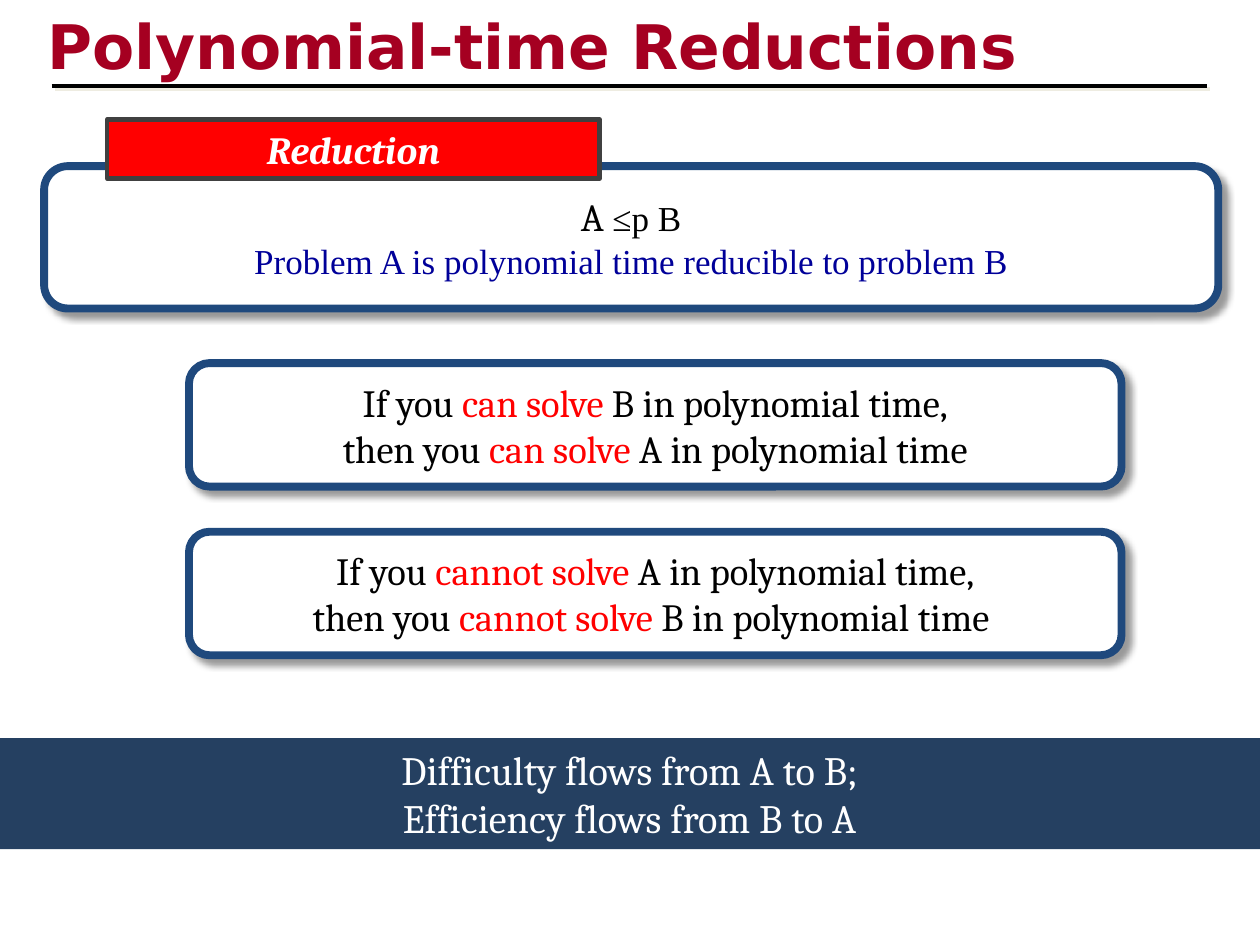
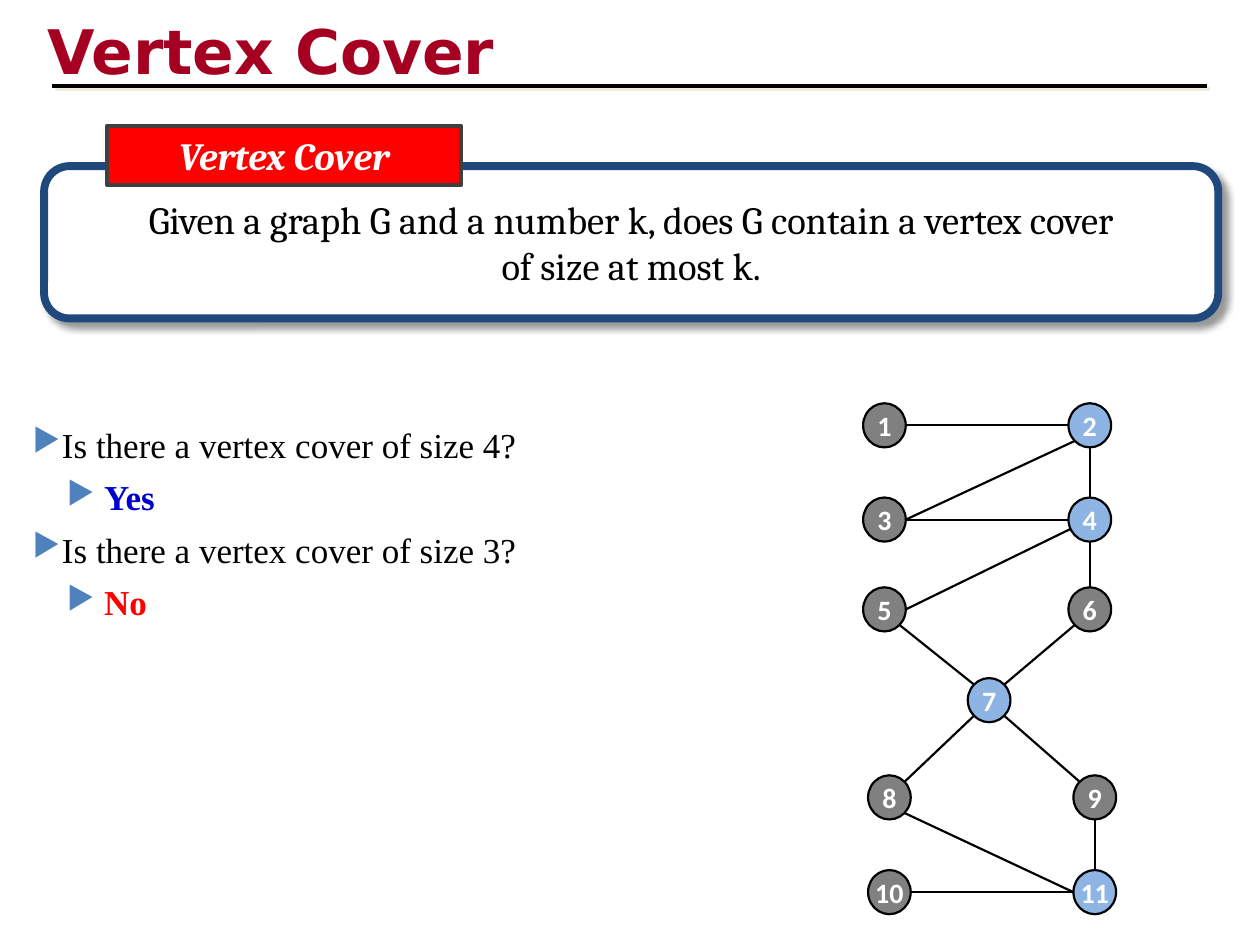
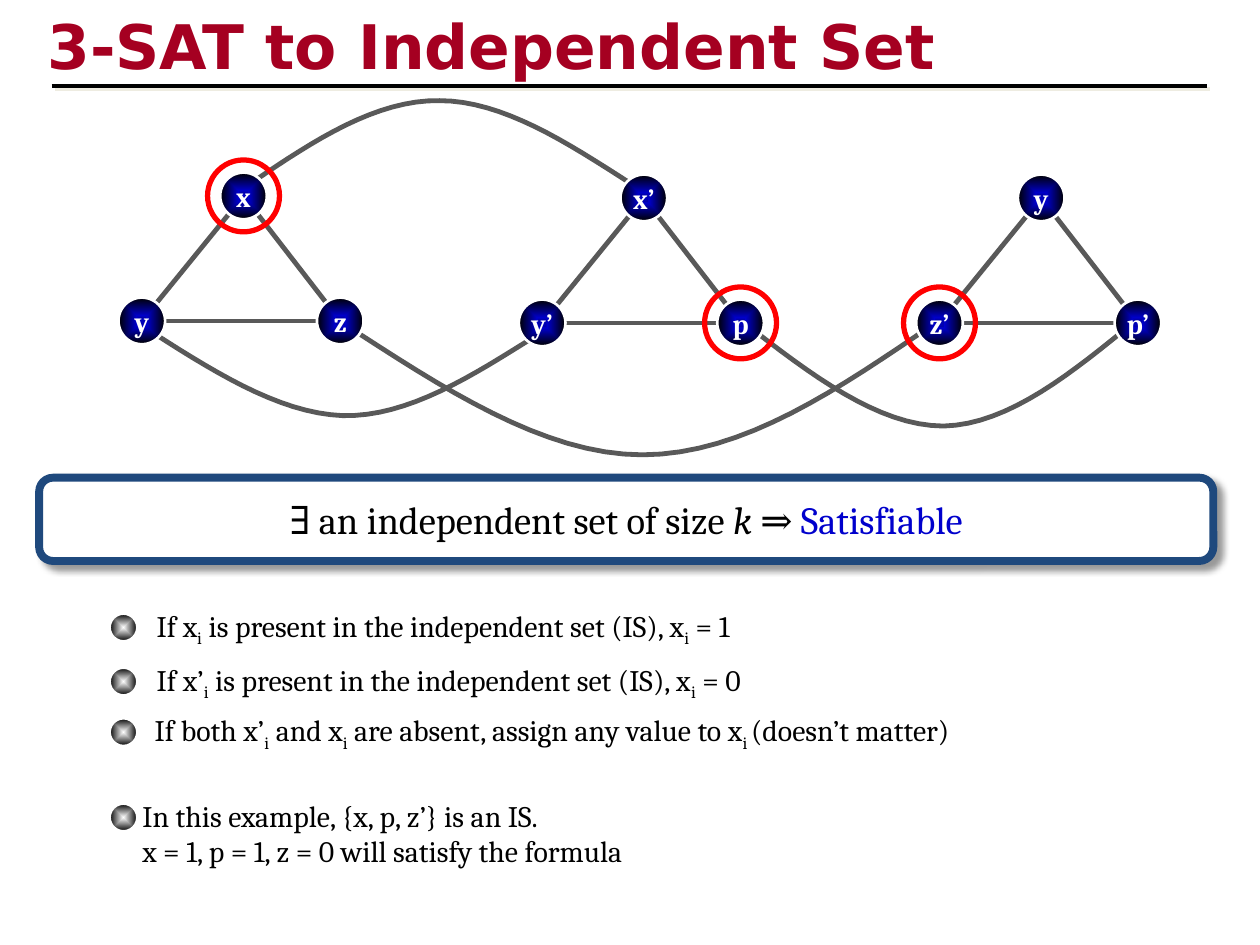
import math

import pptx
import pptx.util
import pptx.dml.color
import pptx.enum.shapes
import pptx.enum.text
import pptx.oxml
import pptx.oxml.ns
from lxml import etree

Cm, Pt = pptx.util.Cm, pptx.util.Pt
qn = pptx.oxml.ns.qn
SHAPE = pptx.enum.shapes.MSO_SHAPE
ALIGN = pptx.enum.text.PP_ALIGN
ANCHOR = pptx.enum.text.MSO_ANCHOR

# Shared look
C = {
    "title": "A50021", "black": "000000", "white": "FFFFFF", "red": "FF0000",
    "frame": "1F497D", "label_edge": "404040", "band": "254061",
    "navy": "000099", "blue": "0000CC", "bullet": "4F81BD",
    "covered": "8EB4E3", "plain": "808080", "edge": "595959", "cream": "EEECE1",
}
NAVY_BALL = [(0, "0000C0"), (10, "0000B7"), (16, "0000AB"), (21, "0000CC"), (100, "000000")]
GREY_BALL = [(0, "FFFFFF"), (100, "000000")]
NS = 'xmlns:a="http://schemas.openxmlformats.org/drawingml/2006/main"'
SHADOW = (f'<a:outerShdw {NS} blurRad="%d" dist="%d" dir="2700000" algn="tl" rotWithShape="0">'
          '<a:srgbClr val="%s"><a:alpha val="%d"/></a:srgbClr></a:outerShdw>')
SOFT_SHADOW = SHADOW % (Pt(4), Pt(4), C["black"], 40000)
FLAT_SHADOW = SHADOW % (0, Pt(2.8), C["cream"], 100000)
CARD = dict(fill="white", line="frame", width=4.5, shadow=SOFT_SHADOW)
LABEL = dict(fill="red", line="label_edge", width=2.5, color="white", bold=True, italic=True)


def add_box(s, kind, x, y, w, h, paras=(), fill=None, line=None, width=1,
            shadow=None, **style):
    """Add a shape, or a text box if kind is None; a run is text or (text, overrides)."""
    box = Cm(x), Cm(y), Cm(w), Cm(h)
    if kind is None:
        sp = s.shapes.add_textbox(*box)
    else:
        sp = s.shapes.add_shape(kind, *box)
        sp.shadow.inherit = False
        if shadow:
            sp._element.spPr.find(qn("a:effectLst")).append(pptx.oxml.parse_xml(shadow))
        if fill is None:
            sp.fill.background()
        else:
            sp.fill.solid()
            if isinstance(fill, list):
                stops = "".join(f'<a:gs pos="{pos * 1000}"><a:srgbClr val="{c}"/></a:gs>'
                                for pos, c in fill)
                spPr = sp._element.spPr
                spPr.replace(spPr.find(qn("a:solidFill")), pptx.oxml.parse_xml(
                    f'<a:gradFill {NS}><a:gsLst>{stops}</a:gsLst><a:path path="shape">'
                    '<a:fillToRect l="50000" t="50000" r="50000" b="50000"/>'
                    '</a:path></a:gradFill>'))
            else:
                sp.fill.fore_color.rgb = pptx.dml.color.RGBColor.from_string(C[fill])
        if line is None:
            sp.line.fill.background()
        else:
            sp.line.color.rgb = pptx.dml.color.RGBColor.from_string(C[line])
            sp.line.width = Pt(width)
    tf = sp.text_frame
    tf.word_wrap = kind is None
    tf.vertical_anchor = ANCHOR.TOP if kind is None else ANCHOR.MIDDLE
    for i, runs in enumerate(paras):
        p = tf.add_paragraph() if i else tf.paragraphs[0]
        p.alignment = ALIGN.LEFT if kind is None else ALIGN.CENTER
        for run in runs:
            text, own = (run, {}) if isinstance(run, str) else run
            look = {"size": 22, "font": "Cambria", "color": "black", **style, **own}
            r = p.add_run()
            r.text = text
            r.font.size = Pt(look["size"])
            r.font.name = look["font"]
            r.font.bold = look.get("bold", False)
            r.font.italic = look.get("italic", False)
            r.font.color.rgb = pptx.dml.color.RGBColor.from_string(C[look["color"]])
            if look.get("sub"):
                r._r.get_or_add_rPr().set("baseline", "-25000")
    return sp


def add_line(s, start, end, color, width):
    """Add a straight line and return its effect list."""
    ln = s.shapes.add_connector(pptx.enum.shapes.MSO_CONNECTOR.STRAIGHT,
                                *[Cm(v) for v in (*start, *end)])
    ln.line.color.rgb = pptx.dml.color.RGBColor.from_string(C[color])
    ln.line.width = Pt(width)
    return etree.SubElement(ln._element.spPr, qn("a:effectLst"))


prs = pptx.Presentation()
prs.slide_width, prs.slide_height = Cm(25.4), Cm(19.05)

# Titles and rules
slides = []
for title, top in [("Polynomial-time Reductions", 0.03), ("Vertex Cover", 0.13),
                   ("3-SAT to Independent Set", 0.03)]:
    s = prs.slides.add_slide(prs.slide_layouts[6])
    slides.append(s)
    sp = add_box(s, None, 0.71, top, 21.59, 1.7, [[title]],
                 size=35.1, font="DejaVu Sans", color="title", bold=True)
    rPr = sp.text_frame.paragraphs[0].runs[0]._r.get_or_add_rPr()
    rPr.find(qn("a:latin")).addprevious(
        pptx.oxml.parse_xml(f"<a:effectLst {NS}>{FLAT_SHADOW}</a:effectLst>"))
    add_line(s, (1.04, 1.73), (24.33, 1.73), "black", 2.25).append(
        pptx.oxml.parse_xml(FLAT_SHADOW))

# Slide 1: definition
s = slides[0]
red = {"color": "red"}
times = {"size": 20, "font": "Times New Roman"}
add_box(s, SHAPE.ROUNDED_RECTANGLE, 0.89, 3.35, 23.67, 2.87, [
    ["A ", ("≤p B", times)],
    [("Problem A is polynomial time reducible to problem B", {**times, "color": "navy"})],
], **CARD)
add_box(s, SHAPE.RECTANGLE, 2.16, 2.41, 9.93, 1.19, [["Reduction"]], **LABEL)

# Slide 1: consequences
consequences = [
    [["If you ", ("can solve", red), " B in polynomial time,"],
     ["then you ", ("can solve ", red), "A in polynomial time"]],
    [["If you ", ("cannot solve ", red), "A in polynomial time,"],
     ["then you ", ("cannot solve", red), " B in polynomial time "]],
]
for i, paras in enumerate(consequences):
    add_box(s, SHAPE.ROUNDED_RECTANGLE, 3.81, 7.32 + 3.4 * i, 18.8, 2.49, paras, **CARD)
add_box(s, SHAPE.RECTANGLE, 0, 14.88, 25.4, 2.24,
        [["Difficulty flows from A to B;"], ["Efficiency flows from B to A"]],
        fill="band", size=23, color="white")

# Slide 2: problem statement
s = slides[1]
add_box(s, SHAPE.ROUNDED_RECTANGLE, 0.89, 3.35, 23.67, 3.07, [
    ["Given a graph G and a number k, does G contain a vertex cover"],
    ["of size at most k."],
], **CARD)
add_box(s, SHAPE.RECTANGLE, 2.16, 2.54, 7.14, 1.19, [["Vertex Cover"]], **LABEL)

# Slide 2: graph nodes
node_w, node_h = 0.86, 0.89
corners = {7: (19.51, 13.67)}
for number, x, y in [(1, 17.4, 8.13), (3, 17.4, 10.03), (5, 17.4, 11.84),
                     (8, 17.5, 15.63), (10, 17.5, 17.54)]:
    corners[number] = (x, y)
    corners[number + 1] = (x + 4.14, y)
for number, (x, y) in corners.items():
    add_box(s, SHAPE.OVAL, x, y, node_w, node_h, [[str(number)]],
            fill="covered" if number in (2, 4, 7, 11) else "plain", line="black", width=1.25,
            size=16, font="Calibri", color="white", bold=True)

# Slide 2: graph edges, each end given by node and clockwise angle from the right
edges = [
    (1, 0, 2, 180), (3, 0, 2, 135), (4, 270, 2, 90), (3, 0, 4, 180), (5, 0, 4, 155),
    (6, 270, 4, 90), (5, 45, 7, 225), (6, 135, 7, 315), (7, 135, 8, 315),
    (7, 45, 9, 225), (8, 45, 11, 180), (11, 270, 9, 90), (10, 0, 11, 180),
]
for a, angle_a, b, angle_b in edges:
    ends = []
    for number, angle in [(a, angle_a), (b, angle_b)]:
        x, y = corners[number]
        t = math.radians(angle)
        ends.append((x + node_w / 2 * (1 + math.cos(t)), y + node_h / 2 * (1 + math.sin(t))))
    add_line(s, *ends, "black", 1.25)

# Slide 2: questions and answers
sp = add_box(s, None, 0.41, 8.41, 14.6, 4.32, [
    ["Is there a vertex cover of size 4?"],
    [("Yes", {"color": "blue", "bold": True})],
    ["Is there a vertex cover of size 3?"],
    [("No", {"color": "red", "bold": True})],
], **times)
for i, p in enumerate(sp.text_frame.paragraphs):
    answer = i % 2
    p.level = answer
    pPr = p._p.get_or_add_pPr()
    pPr.set("marL", str(Cm(1.44 if answer else 0.59)))
    pPr.set("indent", str(-Cm(0.75 if answer else 0.59)))
    for xml in (f'<a:buClr {NS}><a:srgbClr val="{C["bullet"]}"/></a:buClr>',
                f'<a:buSzPct {NS} val="90000"/>', f'<a:buChar {NS} char="▶"/>'):
        pPr.append(pptx.oxml.parse_xml(xml))
    if i:
        p.space_before = Pt(6)

# Slide 3: curves between opposite literals, two cubic pieces each
s = slides[2]
curves = [
    [(5.11, 3.66), (6.35, 2.82), (7.59, 2.01), (8.86, 2.03),
     (10.13, 2.03), (11.43, 2.87), (12.73, 3.71)],
    [(2.84, 6.55), (4.22, 7.44), (5.59, 8.33), (6.91, 8.38),
     (8.23, 8.41), (9.53, 7.57), (10.82, 6.76)],
    [(6.86, 6.48), (8.92, 7.82), (10.95, 9.17), (12.95, 9.17),
     (14.99, 9.17), (16.94, 7.82), (18.9, 6.48)],
    [(14.99, 6.5), (16.33, 7.54), (17.7, 8.59), (19.02, 8.59),
     (20.35, 8.56), (21.64, 7.49), (22.94, 6.43)],
]
steps = 16
for curve in curves:
    points = []
    for piece in (curve[:4], curve[3:]):
        for k in range(1, steps + 1):
            t = k / steps
            weights = [(1 - t) ** 3, 3 * t * (1 - t) ** 2, 3 * t * t * (1 - t), t ** 3]
            points.append(tuple(Cm(sum(w * pt[axis] for w, pt in zip(weights, piece)))
                                for axis in (0, 1)))
    fb = s.shapes.build_freeform(Cm(curve[0][0]), Cm(curve[0][1]))
    fb.add_line_segments(points, close=False)
    sp = fb.convert_to_shape()
    sp.shadow.inherit = False
    sp.fill.background()
    sp.line.color.rgb = pptx.dml.color.RGBColor.from_string(C["edge"])
    sp.line.width = Pt(2.75)

# Slide 3: clause triangles, with chosen literals ringed
ball, ring = 0.94, 1.45
for x, y, names, chosen in [(2.86, 6.47, ("x", "y", "z"), "x"),
                            (10.93, 6.51, ("x’", "y’", "p"), "p"),
                            (18.94, 6.51, ("y", "z’", "p’"), "z’")]:
    centres = [(x + 2.05, y - 2.52), (x, y), (x + 4, y)]
    for i in range(3):
        add_line(s, centres[i], centres[i - 1], "edge", 2.75)
    for name, (cx, cy) in zip(names, centres):
        add_box(s, SHAPE.OVAL, cx - ball / 2, cy - ball / 2, ball, ball, [[name]],
                fill=NAVY_BALL, line="white", width=1.5, size=16, color="white", bold=True)
        if name == chosen:
            add_box(s, SHAPE.OVAL, cx - ring / 2, cy - ring / 2, ring, ring,
                    line="red", width=3)

# Slide 3: claim
add_box(s, SHAPE.ROUNDED_RECTANGLE, 0.79, 9.63, 23.67, 1.68, [[
    "∃ an independent set of size ", ("k", {"italic": True}), " ⇒ ",
    ("Satisfiable", {"color": "blue"})]], **CARD)

# Slide 3: assignment rules
sub_i = ("i", {"sub": True})
rules = [
    (12.37, 0.54, [["If x", sub_i, " is present in the independent set (IS), x", sub_i, " = 1"]]),
    (13.46, 0.54, [["If x’", sub_i, " is present in the independent set (IS), x", sub_i, " = 0"]]),
    (14.48, 0.5, [["If both x’", sub_i, " and x", sub_i, " are absent, assign any value to x",
                   ("i ", {"sub": True}), "(doesn’t matter)"]]),
    (16.2, 0.25, [["In this example, {x, p, z’} is an IS."],
                  ["x = 1, p = 1, z = 0 will satisfy the formula"]]),
]
for y, margin, paras in rules:
    add_box(s, SHAPE.OVAL, 2.21, y, 0.56, 0.56, fill=GREY_BALL, line="white", width=1.5)
    sp = add_box(s, None, 2.62, y - 0.25, 20.6, 1.02 if len(paras) == 1 else 1.7, paras, size=17)
    sp.text_frame.margin_left = Cm(margin)

prs.save("out.pptx")
